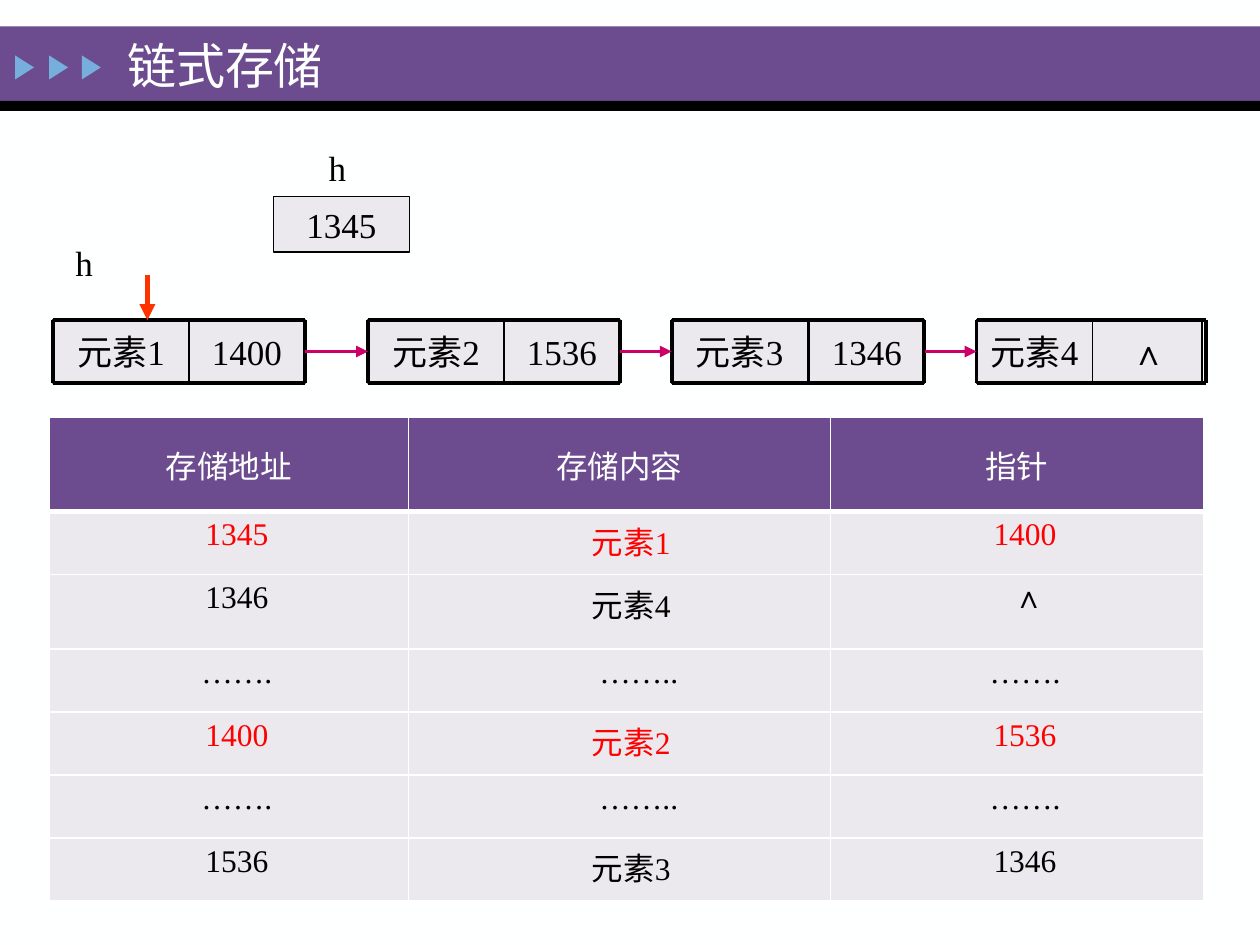
from lxml.etree import SubElement
from pptx import Presentation
from pptx.dml.color import RGBColor
from pptx.enum.shapes import MSO_CONNECTOR, MSO_SHAPE
from pptx.enum.text import MSO_ANCHOR, PP_ALIGN
from pptx.oxml.ns import qn
from pptx.util import Inches, Pt

PURPLE = RGBColor(0x6C, 0x4C, 0x8F)
BLACK = RGBColor(0x00, 0x00, 0x00)
WHITE = RGBColor(0xFE, 0xFF, 0xFF)
BLUE = RGBColor(0x76, 0xAE, 0xDD)
PALE = RGBColor(0xEB, 0xE9, 0xEE)
MAGENTA = RGBColor(0xCC, 0x00, 0x66)
ORANGE = RGBColor(0xFF, 0x33, 0x00)
RED = RGBColor(0xFF, 0x00, 0x00)
SERIF, SANS = "Times New Roman", "Noto Sans CJK SC"


def write(tf, text, size=20, color=BLACK, font=SERIF, align=PP_ALIGN.CENTER):
    p = tf.paragraphs[0]
    p.alignment = align
    r = p.add_run()
    r.text = text
    for name, value in {"size": Pt(size), "name": font, "bold": False}.items():
        setattr(r.font, name, value)
    r.font.color.rgb = color
    SubElement(r.font._element, qn("a:ea"), typeface=SANS)


def add_line(x1, y1, x2, y2, color=BLACK, width=2.25, arrow=False):
    line = slide.shapes.add_connector(
        MSO_CONNECTOR.STRAIGHT, Inches(x1), Inches(y1), Inches(x2), Inches(y2))
    line.line.color.rgb = color
    line.line.width = Pt(width)
    if arrow:
        SubElement(line.line._get_or_add_ln(), qn("a:tailEnd"), type="triangle")
    SubElement(line._element.spPr, qn("a:effectLst"))
    return line


prs = Presentation()
prs.slide_width, prs.slide_height = Inches(10), Inches(7.5)
slide = prs.slides.add_slide(prs.slide_layouts[6])
slide.background.fill.solid()
slide.background.fill.fore_color.rgb = WHITE

# Title band with three pointers
decorations = [(MSO_SHAPE.RECTANGLE, 0, 0.21, 10, 0.59, PURPLE, 0),
               (MSO_SHAPE.RECTANGLE, 0, 0.8, 10, 0.08, BLACK, 0)]
decorations += [(MSO_SHAPE.ISOSCELES_TRIANGLE, x, 0.46, 0.19, 0.15, BLUE, 90)
                for x in (0.1, 0.37, 0.63)]
for kind, x, y, w, h, color, rotation in decorations:
    sp = slide.shapes.add_shape(kind, Inches(x), Inches(y), Inches(w), Inches(h))
    sp.shadow.inherit = False
    sp.fill.solid()
    sp.fill.fore_color.rgb = color
    sp.line.fill.background()
    sp.rotation = rotation

# Title and the two head labels
labels = [("链式存储", 0.81, 0.23, 1.97, 0.57, 28, WHITE, MSO_ANCHOR.MIDDLE, 0.2),
          ("h", 0.5, 1.87, 0.34, 0.44, 20, BLACK, MSO_ANCHOR.TOP, 0.1),
          ("h", 2.51, 1.11, 0.42, 0.44, 20, BLACK, MSO_ANCHOR.TOP, 0.1)]
for text, x, y, w, h, size, color, anchor, indent in labels:
    tf = slide.shapes.add_textbox(Inches(x), Inches(y), Inches(w), Inches(h)).text_frame
    tf.word_wrap = True
    tf.vertical_anchor = anchor
    tf.margin_left = Inches(indent)
    write(tf, text, size, color, align=PP_ALIGN.LEFT)

# Linked nodes: left, right, element width, pointer left, element, pointer
TOP, BOTTOM, POINTER_W = 2.54, 3.04, 0.92
nodes = [(0.42, 2.42, 1.08, 1.5, "元素1", "1400"),
         (2.92, 4.92, 1.08, 4, "元素2", "1536"),
         (5.33, 7.33, 1.08, 6.42, "元素3", "1346"),
         (7.75, 9.57, 0.92, 8.62, "元素4", "∧")]
boxes = [(2.17, 1.56, 1.08, 0.44, "1345")]
for left, right, element_w, pointer_x, element, pointer in nodes:
    boxes += [(pointer_x, TOP, POINTER_W, BOTTOM - TOP, pointer),
              (left, TOP, element_w, BOTTOM - TOP, element)]
cells = []
for x, y, w, h, text in boxes:
    sp = slide.shapes.add_shape(
        MSO_SHAPE.RECTANGLE, Inches(x), Inches(y), Inches(w), Inches(h))
    sp.shadow.inherit = False
    sp.fill.solid()
    sp.fill.fore_color.rgb = PALE
    sp.line.color.rgb = BLACK
    sp.line.width = Pt(0.75)
    sp.text_frame.word_wrap = False
    sp.text_frame.vertical_anchor = MSO_ANCHOR.MIDDLE
    if text == "∧":
        sp.text_frame.margin_left = Inches(0.17)
    write(sp.text_frame, text)
    cells.append(sp)
for left, right, *_ in nodes:
    for y in (TOP, BOTTOM):
        add_line(left, y, right, y)
    for x in (left, right):
        add_line(x, TOP, x, BOTTOM)

# Arrows between nodes, and from the head to the first node
pointer_boxes, element_boxes = cells[1::2], cells[2::2]
middle = (TOP + BOTTOM) / 2
for i in range(len(nodes) - 1):
    arrow = add_line(nodes[i][1], middle, nodes[i + 1][0], middle, MAGENTA, arrow=True)
    arrow.begin_connect(pointer_boxes[i], 3)
    arrow.end_connect(element_boxes[i + 1], 1)
add_line(1.17, 2.18, 1.17, TOP, ORANGE, 3, arrow=True)

# Storage table
rows = [("存储地址", "存储内容", "指针"),
        ("1345", "元素1", "1400"),
        ("1346", "元素4", "∧"),
        ("…….", "……..", "……."),
        ("1400", "元素2", "1536"),
        ("…….", "……..", "……."),
        ("1536", "元素3", "1346")]
red_rows = (1, 4)
table = slide.shapes.add_table(
    len(rows), 3, Inches(0.39), Inches(3.31), Inches(9.16), Inches(3.84)).table
for column, width in zip(table.columns, (2.85, 3.35, 2.96)):
    column.width = Inches(width)
for row, height in zip(table.rows, (0.75, 0.5, 0.59, 0.5, 0.5, 0.5, 0.5)):
    row.height = Inches(height)
for i, row in enumerate(rows):
    for j, text in enumerate(row):
        cell = table.cell(i, j)
        tcPr = cell._tc.get_or_add_tcPr()
        for side in "LRTB":
            heavy = (i, side) in ((0, "B"), (1, "T"))
            ln = SubElement(tcPr, qn(f"a:ln{side}"), w=str(Pt(3 if heavy else 1)))
            fill = SubElement(ln, qn("a:solidFill"))
            SubElement(fill, qn("a:srgbClr"), val=str(WHITE))
        cell.fill.solid()
        cell.fill.fore_color.rgb = PALE if i else PURPLE
        if i == 0:
            cell.vertical_anchor = MSO_ANCHOR.MIDDLE
            write(cell.text_frame, text, 18, WHITE, SANS)
            continue
        if text == "……..":
            indent = 0.31
        else:
            indent = 0.19 if j == 1 or text == "∧" else 0.13
        cell.margin_left = Inches(0.1 + indent)
        write(cell.text_frame, text, 18, RED if i in red_rows else BLACK)

prs.save("out.pptx")
